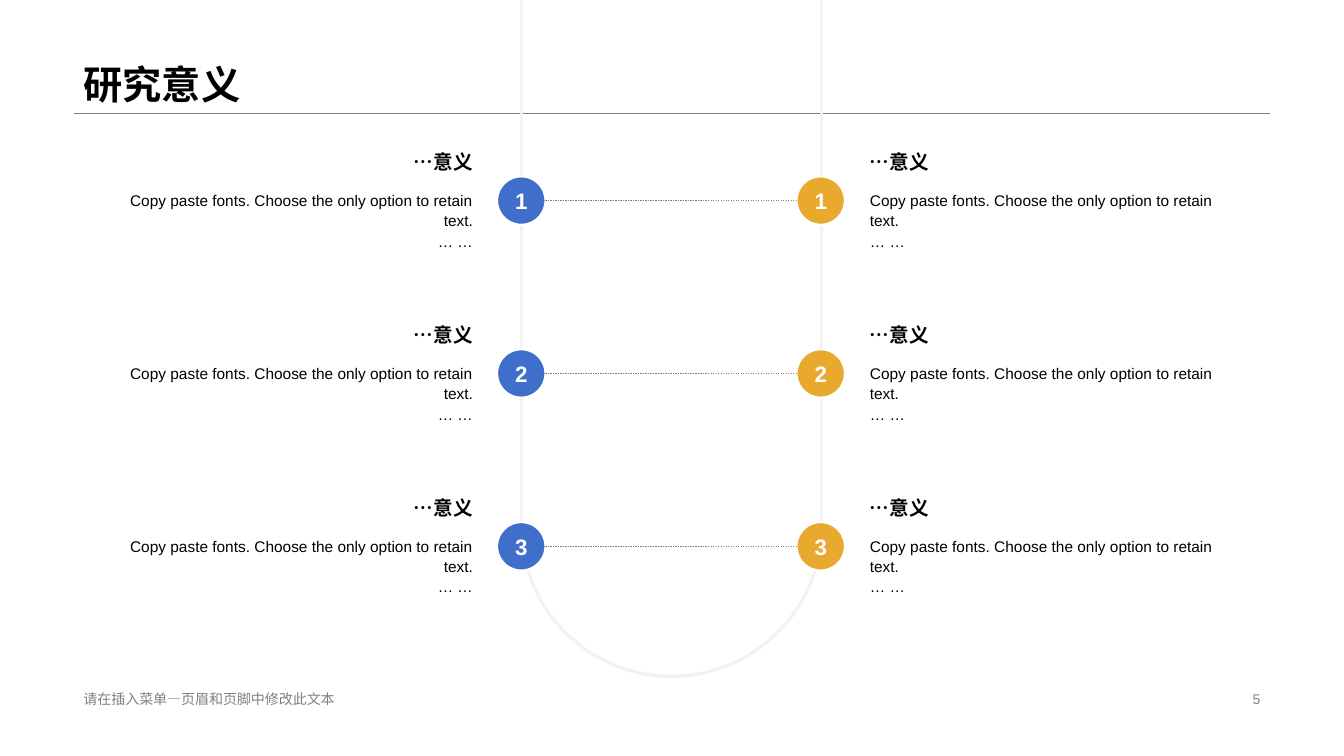
from lxml import etree
from pptx import Presentation
from pptx.dml.color import RGBColor
from pptx.enum.dml import MSO_LINE
from pptx.enum.shapes import MSO_CONNECTOR, MSO_SHAPE
from pptx.enum.text import MSO_ANCHOR, MSO_AUTO_SIZE, PP_ALIGN
from pptx.oxml.ns import qn
from pptx.util import Inches, Pt

LEFT, CENTER, RIGHT = PP_ALIGN.LEFT, PP_ALIGN.CENTER, PP_ALIGN.RIGHT
TOP, MIDDLE, BOTTOM = MSO_ANCHOR.TOP, MSO_ANCHOR.MIDDLE, MSO_ANCHOR.BOTTOM
NO_AUTOFIT = MSO_AUTO_SIZE.NONE
STRAIGHT = MSO_CONNECTOR.STRAIGHT
ARC, OVAL = MSO_SHAPE.ARC, MSO_SHAPE.OVAL
DASH = MSO_LINE.DASH

FONT = "Arial"
BLACK, WHITE, GRAY, RAIL = "000000", "FFFFFF", "808080", "F2F2F2"
BLUE, AMBER = "3F6ECB", "E9A92F"

MARGIN, CONTENT_WIDTH = 0.73, 11.87
RAIL_LEFT, RAIL_SPAN, RAIL_BOTTOM = 5.17, 2.98, 5.22
ROW_TOP, ROW_PITCH = 1.38, 1.715
BADGE = 0.48
POINT_WIDTH, HEADING_HEIGHT, BODY_HEIGHT = 3.76, 0.45, 0.77

HEADING = "…意义"
BODY = "Copy paste fonts. Choose the only option to retain text.\n… …"
# text left, badge left, alignment, badge colour
SIDES = [(1.03, 4.93, RIGHT, BLUE), (8.53, 7.9, LEFT, AMBER)]


def rgb(color):
    return RGBColor.from_string(color)


def inches(*lengths):
    return [Inches(length) for length in lengths]


def write(shape, text, size, color=BLACK, bold=False, align=LEFT,
          anchor=MIDDLE, spacing=None):
    frame = shape.text_frame
    frame.text = text
    frame.word_wrap = True
    frame.auto_size = NO_AUTOFIT
    frame.vertical_anchor = anchor
    for paragraph in frame.paragraphs:
        paragraph.alignment = align
        paragraph.line_spacing = spacing
        for run in paragraph.runs:
            run.font.name = FONT
            run.font.size = Pt(size)
            run.font.bold = bold
            run.font.color.rgb = rgb(color)


def add_text(slide, box, text, size, **style):
    write(slide.shapes.add_textbox(*inches(*box)), text, size, **style)


def add_line(slide, start, end, color, width, dash=None):
    line = slide.shapes.add_connector(STRAIGHT, *inches(*start, *end))
    line.line.color.rgb = rgb(color)
    line.line.width = Pt(width)
    if dash:
        line.line.dash_style = dash
    etree.SubElement(line._element.spPr, qn("a:effectLst"))


def add_title(slide, left, top, width, height):
    bottom = top + height
    add_line(slide, (left, bottom), (left + width, bottom), GRAY, 0.25)
    title = slide.shapes.title
    title.left, title.top, title.width, title.height = inches(
        left, top, width, height)
    write(title, "研究意义", 28, bold=True, anchor=BOTTOM, spacing=0.9)


def add_footer(slide, left, top, width, height):
    note_width, number_width = 4.53, 3.18
    add_text(slide, (left, top, note_width, height),
             "请在插入菜单—页眉和页脚中修改此文本", 10, color=GRAY)
    add_text(slide, (left + width - number_width, top, number_width, height),
             "5", 10, color=GRAY, align=RIGHT)


def add_rail(slide, left, top, span, bottom):
    """Draw the U-shaped rail: two uprights joined by a half circle."""
    for x in (left, left + span):
        add_line(slide, (x, top), (x, bottom), RAIL, 2.25)
    bend = slide.shapes.add_shape(
        ARC, *inches(left, bottom - span / 2, span, span))
    bend.shadow.inherit = False
    bend.adjustments[0] = 0
    bend.adjustments[1] = 108  # 180 degrees
    bend.fill.background()
    bend.line.color.rgb = rgb(RAIL)
    bend.line.width = Pt(2.25)


def add_badge(slide, left, top, number, color):
    badge = slide.shapes.add_shape(OVAL, *inches(left, top, BADGE, BADGE))
    badge.shadow.inherit = False
    badge.fill.solid()
    badge.fill.fore_color.rgb = rgb(color)
    badge.line.color.rgb = rgb(WHITE)
    badge.line.width = Pt(1.5)
    frame = badge.text_frame
    frame.margin_left = frame.margin_right = 0
    frame.margin_top = frame.margin_bottom = 0
    write(badge, str(number), 16, color=WHITE, bold=True, align=CENTER)


def add_point(slide, left, top, align):
    add_text(slide, (left, top, POINT_WIDTH, HEADING_HEIGHT),
             HEADING, 14, bold=True, align=align)
    add_text(slide, (left, top + HEADING_HEIGHT, POINT_WIDTH, BODY_HEIGHT),
             BODY, 11, align=align, anchor=TOP, spacing=1.1)


def add_row(slide, top, number):
    badge_top = top + 0.37
    for text_left, badge_left, align, color in SIDES:
        add_badge(slide, badge_left, badge_top, number, color)
        add_point(slide, text_left, top, align)
    link_y = badge_top + BADGE / 2
    add_line(slide, (SIDES[0][1] + BADGE, link_y), (SIDES[1][1], link_y),
             GRAY, 0.25, DASH)


def main():
    prs = Presentation()
    prs.slide_width, prs.slide_height = inches(13.33, 7.5)
    slide = prs.slides.add_slide(prs.slide_layouts[5])
    add_title(slide, MARGIN, 0, CONTENT_WIDTH, 1.12)
    add_footer(slide, MARGIN, 6.82, CONTENT_WIDTH, 0.23)
    add_rail(slide, RAIL_LEFT, 0, RAIL_SPAN, RAIL_BOTTOM)
    for index in range(3):
        add_row(slide, ROW_TOP + index * ROW_PITCH, index + 1)
    prs.save("out.pptx")


if __name__ == "__main__":
    main()
